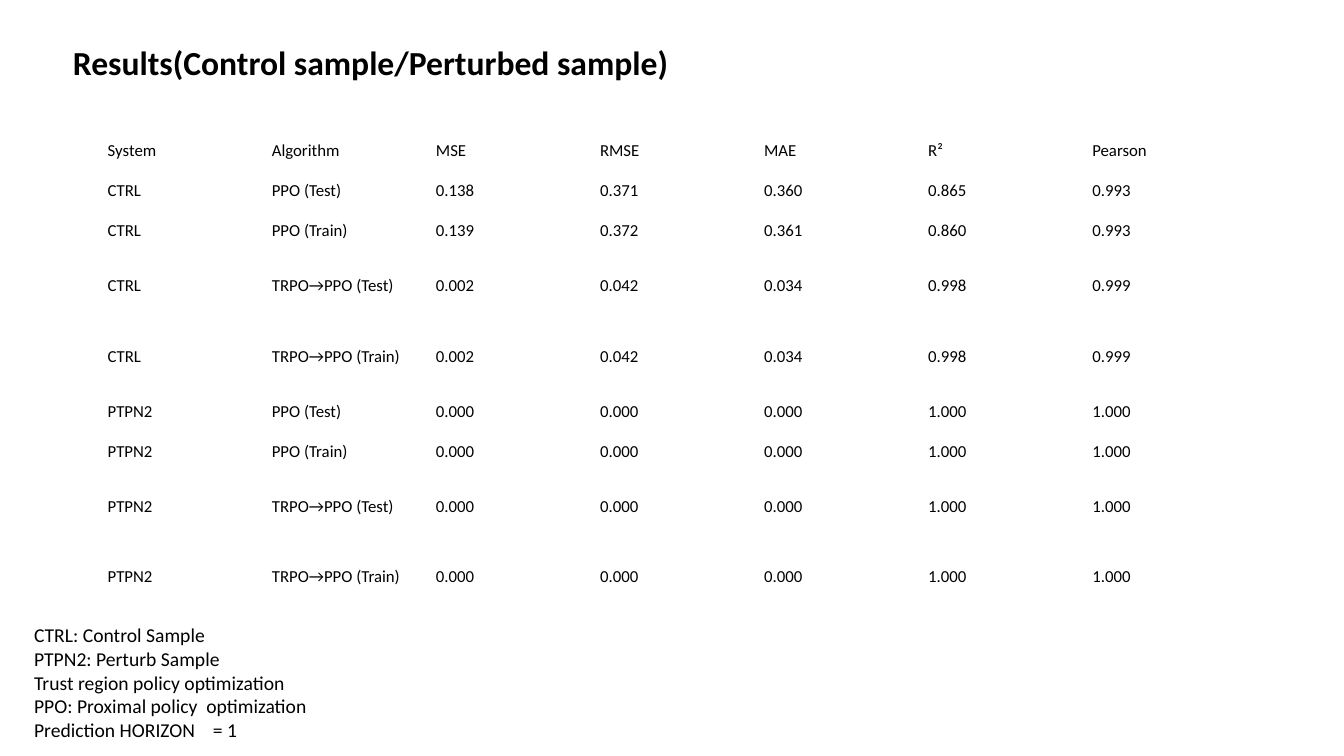
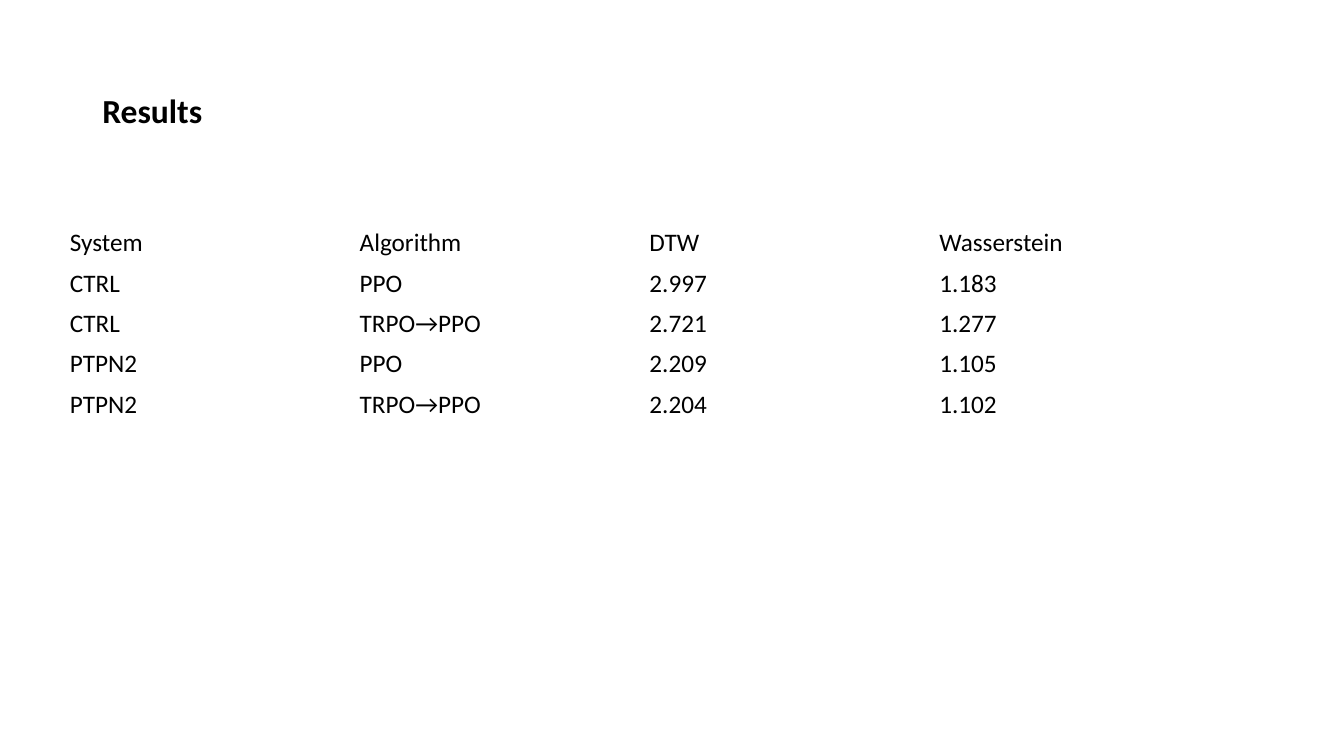
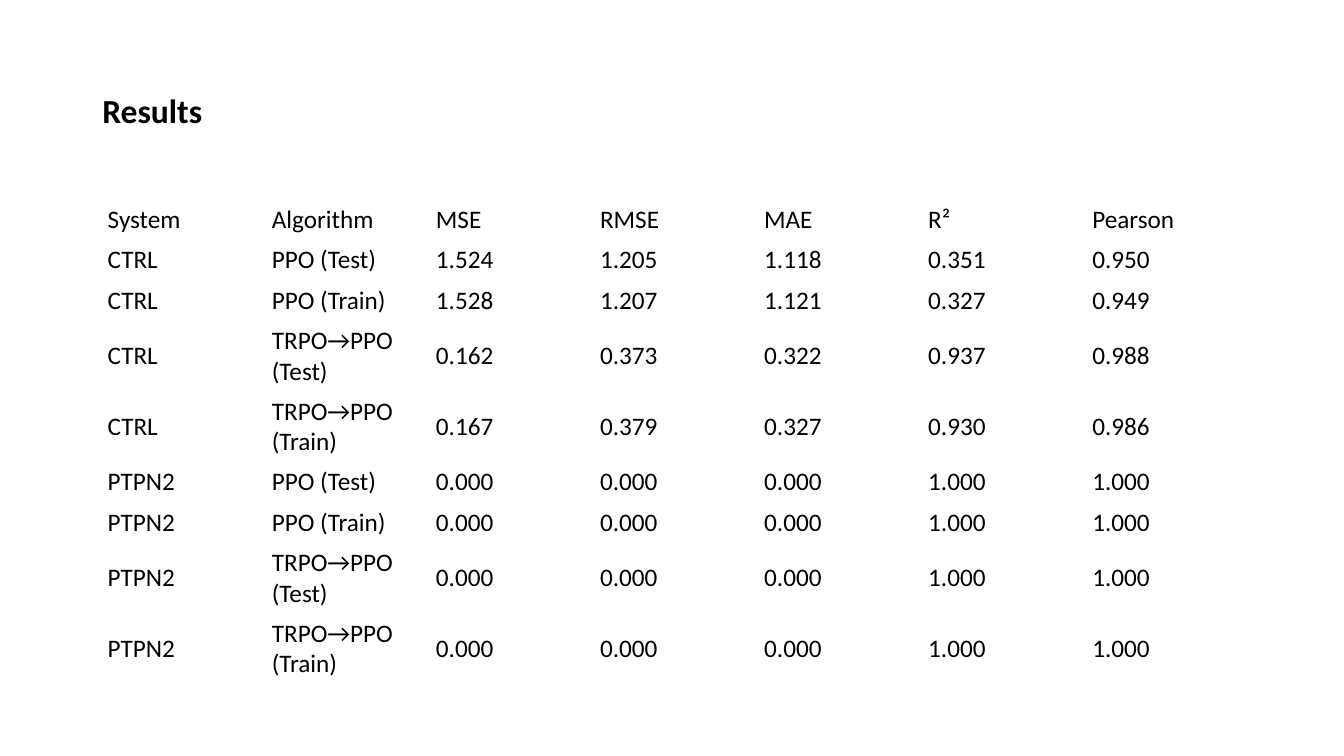
"""Build three slides of result tables for the control and perturbed samples."""
from pptx import Presentation
from pptx import util as u
from pptx.dml.color import RGBColor
from pptx.enum import shapes, text

PX = 9525
FONT, BLACK, WHITE = "Calibri", "000000", "FFFFFF"
METRICS = ["System", "Algorithm", "MSE", "RMSE", "MAE", "R²", "Pearson"]
RUNS = ["PPO (Test)", "PPO (Train)", "TRPO→PPO (Test)", "TRPO→PPO (Train)"]
METRIC_ROWS = [38] + [38, 38, 67, 67] * 2
PERTURBED = [["PTPN2", run] + ["0.000"] * 3 + ["1.000"] * 2 for run in RUNS]


def rgb(value):
    return RGBColor.from_string(value)


def write(tf, lines, size, bold=False, spacing=None):
    for i, line in enumerate(lines):
        p = tf.paragraphs[0] if i == 0 else tf.add_paragraph()
        p.line_spacing = spacing
        r = p.add_run()
        r.text = line
        for name, value in {"name": FONT, "size": u.Pt(size), "bold": bold}.items():
            setattr(r.font, name, value)
        r.font.color.rgb = rgb(BLACK)


step_one = [
    "0.138 0.371 0.360 0.865 0.993",
    "0.139 0.372 0.361 0.860 0.993",
    "0.002 0.042 0.034 0.998 0.999",
    "0.002 0.042 0.034 0.998 0.999",
]
later_step = [
    "1.524 1.205 1.118 0.351 0.950",
    "1.528 1.207 1.121 0.327 0.949",
    "0.162 0.373 0.322 0.937 0.988",
    "0.167 0.379 0.327 0.930 0.986",
]
step_one_table, later_step_table = [
    [METRICS] + [["CTRL", run] + row.split() for run, row in zip(RUNS, control)] + PERTURBED
    for control in (step_one, later_step)
]
distance_table = [
    ["System", "Algorithm", "DTW", "Wasserstein"],
    ["CTRL", "PPO", "2.997", "1.183"],
    ["CTRL", "TRPO→PPO", "2.721", "1.277"],
    ["PTPN2", "PPO", "2.209", "1.105"],
    ["PTPN2", "TRPO→PPO", "2.204", "1.102"],
]
legend = [
    "CTRL: Control Sample",
    "PTPN2: Perturb Sample",
    "Trust region policy optimization",
    "PPO: Proximal policy  optimization",
    "Prediction HORIZON    = 1",
]
slides = [
    {"title": "Results(Control sample/Perturbed sample)", "title_box": (60, 18, 972, 88),
     "band": (0, 0, 1280, 179), "legend": legend, "table": step_one_table,
     "table_at": (93, 125, 1094), "rows": METRIC_ROWS, "size": 12},
    {"title": "Results", "title_box": (88, 38, 1104, 139), "table": distance_table,
     "table_at": (57, 212, 1104), "rows": [38] * 5, "size": 18},
    {"title": "Results", "title_box": (88, 38, 1104, 139), "table": later_step_table,
     "table_at": (93, 190, 1094), "rows": METRIC_ROWS, "size": 18},
]

prs = Presentation()
prs.slide_width, prs.slide_height = 1280 * PX, 720 * PX

for page in slides:
    s = prs.slides.add_slide(prs.slide_layouts[6])

    if "band" in page:
        sp = s.shapes.add_shape(shapes.MSO_SHAPE.RECTANGLE, *[v * PX for v in page["band"]])
        sp.shadow.inherit = False
        sp.fill.solid()
        sp.fill.fore_color.rgb = rgb(WHITE)
        sp.line.fill.background()

    tf = s.shapes.add_textbox(*[v * PX for v in page["title_box"]]).text_frame
    tf.word_wrap = True
    tf.vertical_anchor = text.MSO_ANCHOR.MIDDLE
    write(tf, [page["title"]], 24, bold=True, spacing=0.9)

    if "legend" in page:
        tf = s.shapes.add_textbox(23 * PX, 589 * PX, 614 * PX, 123 * PX).text_frame
        tf.word_wrap = True
        tf.auto_size = text.MSO_AUTO_SIZE.SHAPE_TO_FIT_TEXT
        write(tf, page["legend"], 14)

    rows, cols = len(page["table"]), len(page["table"][0])
    left, top, width = [v * PX for v in page["table_at"]]
    table = s.shapes.add_table(rows, cols, left, top, width, sum(page["rows"]) * PX).table
    table.first_row = table.horz_banding = False
    for row, height in zip(table.rows, page["rows"]):
        row.height = height * PX
    for i, values in enumerate(page["table"]):
        for j, value in enumerate(values):
            cell = table.cell(i, j)
            cell.fill.background()
            cell.vertical_anchor = text.MSO_ANCHOR.MIDDLE
            write(cell.text_frame, [value], page["size"])

prs.save("out.pptx")
